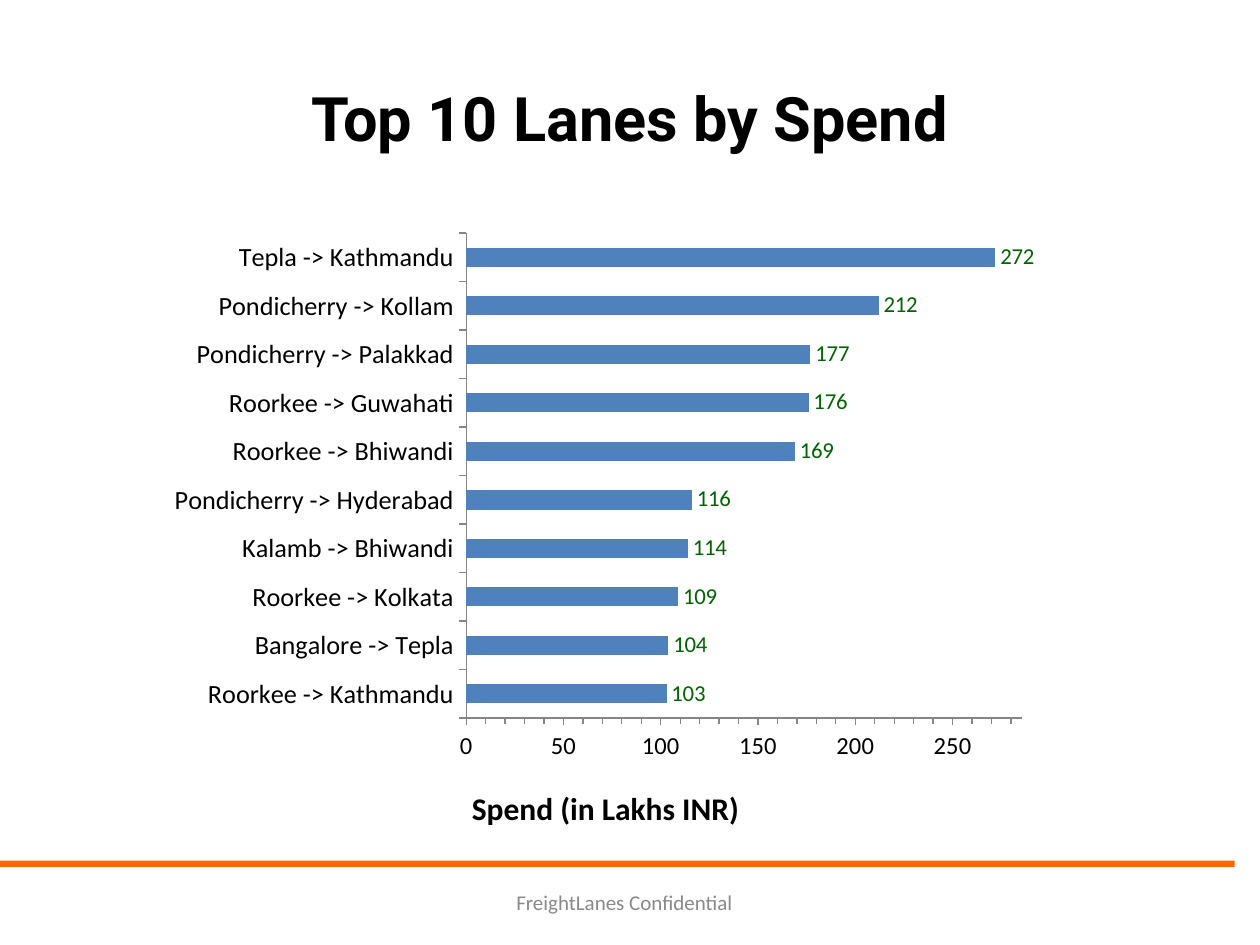
from lxml.etree import SubElement
from pptx import Presentation
from pptx.chart.data import CategoryChartData as Data
from pptx.dml.color import RGBColor as RGB
from pptx.enum.chart import XL_CHART_TYPE as Kind, XL_LABEL_POSITION as Pos
from pptx.enum.chart import XL_TICK_MARK as Tick
from pptx.enum.shapes import MSO_SHAPE as Shape
from pptx.enum.text import MSO_ANCHOR as Anchor, PP_ALIGN as Align
from pptx.oxml.ns import qn
from pptx.util import Inches, Pt

HEX = {"ink": "000000", "rule": "FF6600", "foot": "898989",
       "bar": "4F81BD", "value": "006400", "axis": "868686"}
COLOR = {name: RGB.from_string(code) for name, code in HEX.items()}

prs = Presentation()
prs.slide_width, prs.slide_height = Inches(10), Inches(7.5)
slide = prs.slides.add_slide(prs.slide_layouts[6])


def add_text(text, at, size, color="ink", face="Calibri", bold=False, align=Align.LEFT):
    box = slide.shapes.add_textbox(*[Inches(n) for n in at])
    frame = box.text_frame
    frame.word_wrap = True
    frame.vertical_anchor = Anchor.MIDDLE
    par = frame.paragraphs[0]
    par.alignment = align
    run = par.add_run()
    run.text = text
    font = run.font
    font.name, font.size, font.bold = face, Pt(size), bold
    font.color.rgb = COLOR[color]


def set_layout(parent, **parts):
    """Place a chart part by fractions of the chart area."""
    layout = parent.find(qn("c:layout"))
    if layout is None:
        layout = SubElement(parent, qn("c:layout"))
        first = parent.find(qn("c:tx"))
        parent.insert(0 if first is None else 1, layout)
    manual = SubElement(layout, qn("c:manualLayout"))
    for tag, val in parts.items():
        SubElement(manual, qn("c:" + tag)).set("val", str(val))


# Rule above the footer
rule = slide.shapes.add_shape(Shape.RECTANGLE, 0, Inches(6.83), Inches(9.8), Inches(0.05))
rule.shadow.inherit = False
rule.fill.solid()
rule.fill.fore_color.rgb = COLOR["rule"]
rule.line.fill.background()

# Title and footer
add_text("Top 10 Lanes by Spend", (0.5, 0.3, 9, 1.25), 35,
         face="Roboto", bold=True, align=Align.CENTER)
add_text("FreightLanes Confidential", (4, 7, 5, 0.32), 12, color="foot")

# Lanes, from the bottom bar up
lanes = [
    ("Roorkee -> Kathmandu", 103),
    ("Bangalore -> Tepla", 104),
    ("Roorkee -> Kolkata", 109),
    ("Kalamb -> Bhiwandi", 114),
    ("Pondicherry -> Hyderabad", 116),
    ("Roorkee -> Bhiwandi", 169),
    ("Roorkee -> Guwahati", 176),
    ("Pondicherry -> Palakkad", 177),
    ("Pondicherry -> Kollam", 212),
    ("Tepla -> Kathmandu", 272),
]
data = Data()
data.categories = [lane for lane, spend in lanes]
data.add_series("Series 1", [spend for lane, spend in lanes])

# Bar chart
chart = slide.shapes.add_chart(Kind.BAR_CLUSTERED, Inches(1.25), Inches(1.75),
                               Inches(7), Inches(5), data).chart
chart.has_legend = False
chart.has_title = False
chart.font.name, chart.font.size = "Calibri", Pt(18)
chart.font.color.rgb = COLOR["ink"]
set_layout(chart.plots[0]._element.getparent(), layoutTarget="inner", xMode="edge",
           yMode="edge", x=0.35, y=0.02, w=0.63, h=0.77)

# Bars and their values
plot = chart.plots[0]
plot.gap_width = 150
plot.vary_by_categories = False
bars = plot.series[0].format.fill
bars.solid()
bars.fore_color.rgb = COLOR["bar"]
plot.has_data_labels = True
labels = plot.data_labels
labels.show_value = True
labels.position = Pos.OUTSIDE_END
labels.font.size = Pt(13)
labels.font.color.rgb = COLOR["value"]

# Axes
cat, val = chart.category_axis, chart.value_axis
for axis, size in ((cat, 15), (val, 14)):
    axis.has_major_gridlines = False
    axis.major_tick_mark = Tick.OUTSIDE
    axis.tick_labels.font.size = Pt(size)
    axis.format.line.color.rgb = COLOR["axis"]
val.minor_tick_mark = Tick.OUTSIDE
val.minimum_scale, val.maximum_scale = 0, 285.6
val.major_unit, val.minor_unit = 50, 10

# Axis title, centred under the whole chart
title = val.axis_title
title.text_frame.text = "Spend (in Lakhs INR)"
font = title.text_frame.paragraphs[0].runs[0].font
font.name, font.size, font.bold = "Calibri", Pt(18), True
font.color.rgb = COLOR["ink"]
set_layout(title._element, xMode="edge", yMode="edge", x=0.35, y=0.89)

prs.save("out.pptx")
